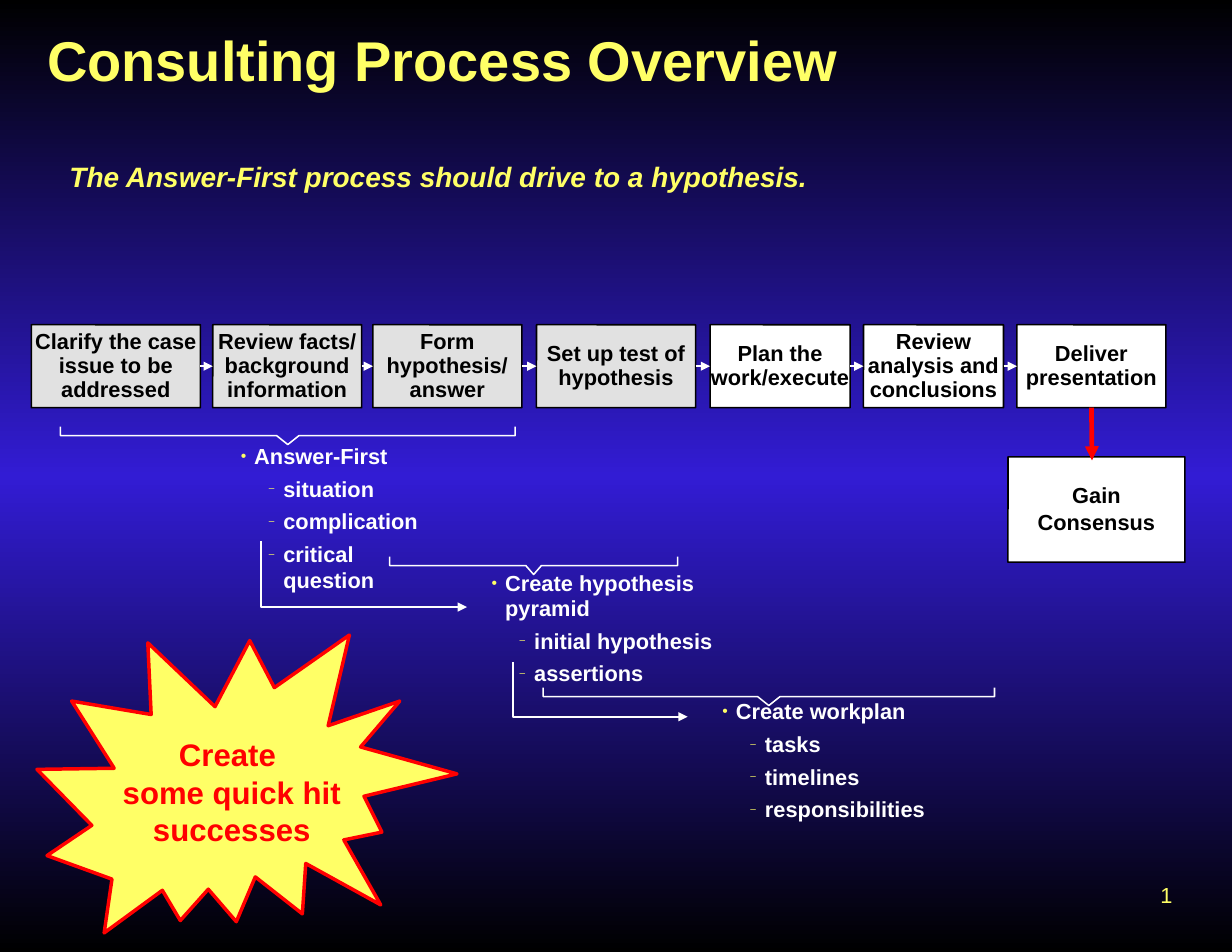
from copy import deepcopy
from dataclasses import dataclass

from lxml.etree import SubElement
from pptx import Presentation
from pptx.dml.color import RGBColor
from pptx.enum.shapes import MSO_CONNECTOR, MSO_SHAPE
from pptx.enum.text import MSO_ANCHOR, MSO_AUTO_SIZE, PP_ALIGN
from pptx.oxml.ns import qn
from pptx.util import Inches, Pt


@dataclass(frozen=True)
class Theme:
    font: str = "Arial"
    yellow: str = "FFFF66"
    white: str = "FFFFFF"
    gray: str = "E1E1E1"
    black: str = "000000"
    blue: str = "321CD4"
    red: str = "FF0000"
    title: int = 36
    callout: int = 20
    subtitle: int = 18
    body: int = 14
    tight: float = 0.93


THEME = Theme()

TITLE = ("Consulting Process Overview", (0.42, 0.28, 7.29, 0.82))
SUBTITLE = ("The Answer-First process should drive to a hypothesis.", (0.62, 1.45, 7.43, 0.28))
PAGE_NUMBER = ("1", (10.36, 7.84, 0.11, 0.32))

STEP_TOP, STEP_HEIGHT = 2.9, 0.74
STEPS = [
    ("Clarify the case issue to be addressed", 0.28, 1.51, THEME.gray),
    ("Review facts/ background information", 1.9, 1.33, THEME.gray),
    ("Form hypothesis/ answer", 3.33, 1.33, THEME.gray),
    ("Set up test of hypothesis", 4.79, 1.42, THEME.gray),
    ("Plan the work/execute", 6.34, 1.25, THEME.white),
    ("Review analysis and conclusions", 7.71, 1.25, THEME.white),
    ("Deliver presentation", 9.08, 1.33, THEME.white),
]
OUTCOME = (["Gain", "Consensus"], (9, 4.08, 1.58, 0.94))

LISTS = [
    (2, (2.05, 3.92, 1.79, 1.43), ["Answer-First", "situation", "complication", "critical question"]),
    (3, (4.29, 5.06, 2.61, 1.12), ["Create hypothesis pyramid", "initial hypothesis", "assertions"]),
    (4, (6.35, 6.2, 3.17, 1.2), ["Create workplan", "tasks", "timelines", "responsibilities"]),
]
BULLETS = [("•", 72, 0.12, -0.12), ("–", 46, 0.38, -0.13)]

BRACKETS = [(0.54, 3.81, 4.06, 0.1), (3.48, 4.97, 2.57, 0.07), (4.85, 6.14, 4.03, 0.1)]
ELBOWS = [(2.33, 4.83, 4.17, 5.42), (4.58, 5.91, 6.14, 6.4)]

CALLOUT = (["Create ", "some quick hit successes"], (0.69, 6.54, 2.76, 1.08))
BURST = [
    (2.45, 6.14), (2.23, 5.72), (1.92, 6.31), (1.32, 5.74), (1.35, 6.38), (0.64, 6.26), (1.02, 6.86),
    (0.33, 6.87), (0.82, 7.37), (0.42, 7.64), (1, 7.85), (0.93, 8.33), (1.45, 7.95), (1.61, 8.22),
    (1.86, 7.94), (2.11, 8.23), (2.28, 7.83), (2.7, 8.16), (2.73, 7.71), (3.4, 8.08), (3.07, 7.5),
    (3.41, 7.43), (3.25, 7.11), (4.08, 6.91), (3.22, 6.67), (3.57, 6.26), (2.93, 6.48), (3.12, 5.67),
]


def rgb(color):
    return RGBColor.from_string(color)


def place(shape, box):
    shape.left, shape.top, shape.width, shape.height = map(Inches, box)


def add_bullet(paragraph, level):
    mark, percent, margin, indent = BULLETS[level]
    paragraph.level = level
    properties = paragraph._p.get_or_add_pPr()
    properties.set("marL", str(Inches(margin)))
    properties.set("indent", str(Inches(indent)))
    SubElement(SubElement(properties, qn("a:buClr")), qn("a:srgbClr"), val=THEME.yellow)
    SubElement(properties, qn("a:buSzPct"), val=str(percent * 1000))
    SubElement(properties, qn("a:buFont"), typeface=THEME.font)
    SubElement(properties, qn("a:buChar"), char=mark)


def write(shape, lines, size, color, align=PP_ALIGN.LEFT, anchor=MSO_ANCHOR.TOP,
          margins=(0, 0), bold=True, italic=False, wrap=True, bullets=False):
    frame = shape.text_frame
    frame.text = "\n".join(lines)
    frame.auto_size = MSO_AUTO_SIZE.NONE
    frame.word_wrap = wrap
    frame.vertical_anchor = anchor
    frame.margin_left = frame.margin_right = Inches(margins[0])
    frame.margin_top = frame.margin_bottom = Inches(margins[1])
    for index, paragraph in enumerate(frame.paragraphs):
        if bullets:
            add_bullet(paragraph, min(index, 1))
        paragraph.alignment = align
        paragraph.line_spacing = 1.0 if index else THEME.tight
        paragraph.space_before = Pt(4.2 if bullets else 0)
        font = paragraph.font
        font.name, font.size, font.color.rgb = THEME.font, Pt(size), rgb(color)
        font.bold, font.italic = bold, italic


def paint(shape, fill, line, width):
    shape.shadow.inherit = False
    if fill:
        shape.fill.solid()
        shape.fill.fore_color.rgb = rgb(fill)
    else:
        shape.fill.background()
    shape.line.color.rgb, shape.line.width = rgb(line), Pt(width)


def add_arrowhead(shape):
    SubElement(shape.line._get_or_add_ln(), qn("a:tailEnd"), type="triangle")


def add_box(slide, lines, box, fill):
    shape = slide.shapes.add_shape(MSO_SHAPE.ROUNDED_RECTANGLE, *map(Inches, box))
    shape.adjustments[0] = 0.002
    paint(shape, fill, THEME.black, 1)
    write(shape, lines, THEME.body, THEME.black, PP_ALIGN.CENTER, MSO_ANCHOR.MIDDLE)
    return shape


def add_arrow(slide, color, width, start, end=(0, 0)):
    points = map(Inches, (*start, *end))
    connector = slide.shapes.add_connector(MSO_CONNECTOR.STRAIGHT, *points)
    connector.line.color.rgb, connector.line.width = rgb(color), Pt(width)
    add_arrowhead(connector)
    SubElement(connector._element.spPr, qn("a:effectLst"))
    return connector


def add_outline(slide, points, fill, line, width):
    start, *others = [(Inches(x), Inches(y)) for x, y in points]
    builder = slide.shapes.build_freeform(*start)
    builder.add_line_segments(others, close=bool(fill))
    shape = builder.convert_to_shape()
    paint(shape, fill, line, width)
    return shape


def bracket_points(left, top, width, notch):
    right, middle, base = left + width, left + width / 2, top + 0.08
    return [(left, top), (left, base), (middle - notch, base), (middle, base + 0.08),
            (middle + notch, base), (right, base), (right, top)]


def paint_background(slide):
    fill = slide.background.fill
    fill.gradient()
    fill.gradient_angle = 270
    stops = slide._element.find(".//" + qn("a:gsLst"))
    stops.insert(1, deepcopy(stops[0]))
    for index, (stop, color) in enumerate(zip(fill.gradient_stops, (THEME.black, THEME.blue, THEME.black))):
        stop.position, stop.color.rgb = index / 2, rgb(color)


def main():
    presentation = Presentation()
    presentation.slide_width, presentation.slide_height = Inches(11), Inches(8.5)
    slide = presentation.slides.add_slide(presentation.slide_layouts.get_by_name("Comparison"))
    paint_background(slide)

    place(slide.shapes.title, TITLE[1])
    write(slide.shapes.title, [TITLE[0]], THEME.title, THEME.yellow)
    subtitle = slide.placeholders[1]
    place(subtitle, SUBTITLE[1])
    write(subtitle, [SUBTITLE[0]], THEME.subtitle, THEME.yellow, italic=True)
    for index, box, lines in LISTS:
        place(slide.placeholders[index], box)
        write(slide.placeholders[index], lines, THEME.body, THEME.white, margins=(0.1, 0.05), bullets=True)

    steps = [add_box(slide, [text], (left, STEP_TOP, width, STEP_HEIGHT), fill)
             for text, left, width, fill in STEPS]
    for before, after in zip(steps, steps[1:]):
        arrow = add_arrow(slide, THEME.white, 1, (0, 0))
        arrow.begin_connect(before, 3)
        arrow.end_connect(after, 1)
    add_box(slide, *OUTCOME, THEME.white)
    add_arrow(slide, THEME.red, 3, (9.75, 3.69), (9.75, 4.11)).begin_connect(steps[-1], 2)

    for bracket in BRACKETS:
        add_outline(slide, bracket_points(*bracket), None, THEME.white, 1)
    for left, top, right, bottom in ELBOWS:
        add_arrowhead(add_outline(slide, [(left, top), (left, bottom), (right, bottom)], None, THEME.white, 1))

    add_outline(slide, BURST, THEME.yellow, THEME.red, 2.25)
    callout = slide.shapes.add_textbox(*map(Inches, CALLOUT[1]))
    write(callout, CALLOUT[0], THEME.callout, THEME.red, PP_ALIGN.CENTER, MSO_ANCHOR.MIDDLE, (0.05, 0.05))
    number = slide.shapes.add_textbox(*map(Inches, PAGE_NUMBER[1]))
    write(number, [PAGE_NUMBER[0]], THEME.body, THEME.yellow, anchor=MSO_ANCHOR.MIDDLE,
          margins=(0, 0.05), bold=False, wrap=False)

    presentation.save("out.pptx")


if __name__ == "__main__":
    main()
